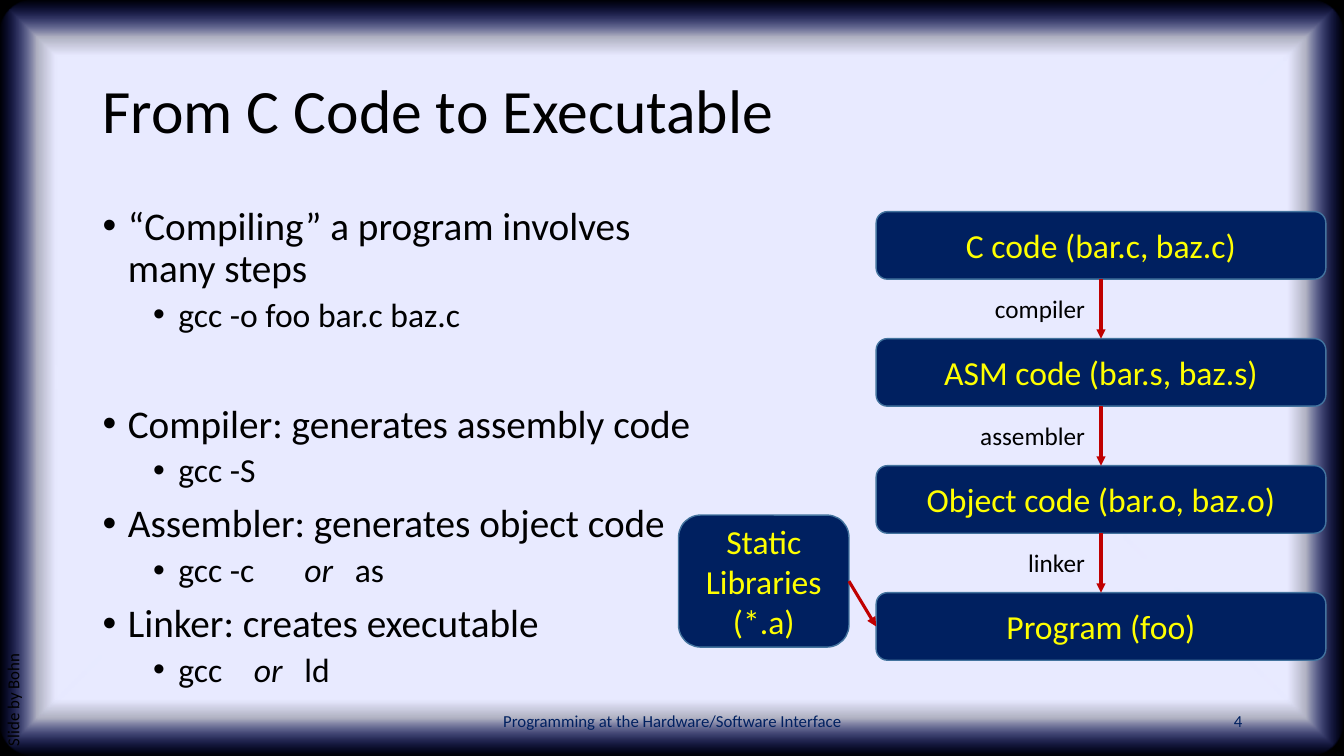
"""Build the slide 'From C Code to Executable' with its build-pipeline diagram."""
from lxml.etree import SubElement
from pptx import Presentation
from pptx.dml.color import RGBColor
from pptx.enum.shapes import MSO_CONNECTOR, MSO_SHAPE
from pptx.enum.text import MSO_ANCHOR, PP_ALIGN
from pptx.oxml import parse_xml
from pptx.oxml.ns import nsdecls, qn
from pptx.util import Inches, Pt

BLACK, NAVY, YELLOW, RED, EDGE = "000000", "002060", "FFFF00", "C00000", "43739E"


def rgb(value):
    return RGBColor.from_string(value)


def write(tf, text, size, color, align=PP_ALIGN.LEFT, anchor=MSO_ANCHOR.TOP, spacing=1.0):
    tf.word_wrap = True
    tf.vertical_anchor = anchor
    p = tf.paragraphs[0]
    p.alignment, p.line_spacing = align, spacing
    r = p.add_run()
    r.text = text
    for name, value in {"name": "Calibri", "size": Pt(size)}.items():
        setattr(r.font, name, value)
    r.font.color.rgb = rgb(color)


prs = Presentation()
prs.slide_width, prs.slide_height = Inches(13.33), Inches(7.5)
s = prs.slides.add_slide(prs.slide_layouts[6])

for kind in (MSO_SHAPE.RECTANGLE, MSO_SHAPE.ROUNDED_RECTANGLE):
    frame = s.shapes.add_shape(kind, 0, 0, prs.slide_width, prs.slide_height)
    frame.shadow.inherit = False
    frame.fill.solid()
    frame.fill.fore_color.rgb = rgb(BLACK)
    frame.line.fill.background()
frame.adjustments[0] = 0.048
stops = "".join(
    f'<a:gs pos="{pos}000"><a:srgbClr val="{color}"><a:alpha val="{alpha}000"/></a:srgbClr></a:gs>'
    for pos, color, alpha in [(85, "E8EAFF", 100), (90, "E8EAFF", 75), (100, "162AFF", 0)])
solid = frame.fill._xPr.find(qn("a:solidFill"))
solid.getparent().replace(solid, parse_xml(
    f'<a:gradFill {nsdecls("a")} rotWithShape="1"><a:gsLst>{stops}</a:gsLst><a:path path="shape">'
    '<a:fillToRect l="50000" t="50000" r="50000" b="50000"/></a:path></a:gradFill>'))

texts = [
    ("From C Code to Executable", 0.92, 0.4, 11.5, 1.45, 44, BLACK, PP_ALIGN.LEFT, MSO_ANCHOR.MIDDLE, 0.9, 0),
    ("Programming at the Hardware/Software Interface", 4.42, 6.95, 4.5, 0.4, 12, NAVY,
     PP_ALIGN.CENTER, MSO_ANCHOR.MIDDLE, 1.0, 0),
    ("4", 9.42, 6.95, 3, 0.4, 12, NAVY, PP_ALIGN.RIGHT, MSO_ANCHOR.MIDDLE, 1.0, 0),
    ("Slide by Bohn", -2.44, 4.66, 5.28, 0.4, 12, BLACK, PP_ALIGN.LEFT, MSO_ANCHOR.TOP, 0.9, 270),
]
for text, x, y, w, h, size, color, align, anchor, spacing, rotation in texts:
    sp = s.shapes.add_textbox(Inches(x), Inches(y), Inches(w), Inches(h))
    sp.rotation = rotation
    write(sp.text_frame, text, size, color, align, anchor, spacing)

bullets = [
    (0, 0, ["“Compiling” a program involves many steps"]),
    (1, 5, ["gcc -o foo bar.c baz.c"]),
    (0, 50, ["Compiler: generates assembly code"]),
    (1, 5, ["gcc -S"]),
    (0, 10, ["Assembler: generates object code"]),
    (1, 5, ["gcc -c\t", "or\t", "as"]),
    (0, 10, ["Linker: creates executable"]),
    (1, 5, ["gcc\t", "or\t", "ld"]),
]
tf = s.shapes.add_textbox(Inches(0.92), Inches(2), Inches(6.15), Inches(5.1)).text_frame
tf.word_wrap = True
for i, (level, before, runs) in enumerate(bullets):
    p = tf.add_paragraph() if i else tf.paragraphs[0]
    for name, value in {"level": level, "line_spacing": 0.9, "space_before": Pt(before)}.items():
        setattr(p, name, value)
    pPr = p._p.get_or_add_pPr()
    pPr.set("marL", str(Inches(0.25 + 0.5 * level)))
    pPr.set("indent", str(Inches(-0.25)))
    SubElement(pPr, qn("a:buFont"), typeface="Arial")
    SubElement(pPr, qn("a:buChar"), char="•")
    for text in runs:
        r = p.add_run()
        r.text = text
        font = {"name": "Calibri", "size": Pt(28 - 4 * level), "italic": text == "or\t"}
        for name, value in font.items():
            setattr(r.font, name, value)
        r.font.color.rgb = rgb(BLACK)

STAGE_TOP, STAGE_STEP = 2.1, 1.26
stages = ["C code (bar.c, baz.c)", "ASM code (bar.s, baz.s)", "Object code (bar.o, baz.o)", "Program (foo)"]
boxes = [(text, 8.69, STAGE_TOP + STAGE_STEP * i, 4.46, 0.67) for i, text in enumerate(stages)]
boxes.append(("Static Libraries (*.a)", 6.73, 5.11, 1.69, 1.31))
nodes = []
for text, x, y, w, h in boxes:
    sp = s.shapes.add_shape(MSO_SHAPE.ROUNDED_RECTANGLE, Inches(x), Inches(y), Inches(w), Inches(h))
    sp.shadow.inherit = False
    sp.fill.solid()
    sp.fill.fore_color.rgb = rgb(NAVY)
    sp.line.color.rgb = rgb(EDGE)
    sp.line.width = Pt(1)
    write(sp.text_frame, text, 24, YELLOW, PP_ALIGN.CENTER, MSO_ANCHOR.MIDDLE)
    nodes.append(sp)

TOP, LEFT, BOTTOM, RIGHT = range(4)
program, libraries = nodes[3:]
links = [(nodes[i], BOTTOM, nodes[i + 1], TOP) for i in range(3)]
links.append((libraries, RIGHT, program, LEFT))
for start, start_site, end, end_site in links:
    arrow = s.shapes.add_connector(MSO_CONNECTOR.STRAIGHT, 0, 0, 0, 0)
    arrow.begin_connect(start, start_site)
    arrow.end_connect(end, end_site)
    arrow.line.color.rgb = rgb(RED)
    arrow.line.width = Pt(2.25)
    SubElement(arrow.line._get_or_add_ln(), qn("a:tailEnd"), type="triangle")
    SubElement(arrow._element.spPr, qn("a:effectLst"))

for i, tool in enumerate(["compiler", "assembler", "linker"]):
    sp = s.shapes.add_textbox(Inches(9.56), Inches(2.86 + STAGE_STEP * i), Inches(1.3), Inches(0.4))
    write(sp.text_frame, tool, 18, BLACK, PP_ALIGN.RIGHT)

prs.save("out.pptx")
